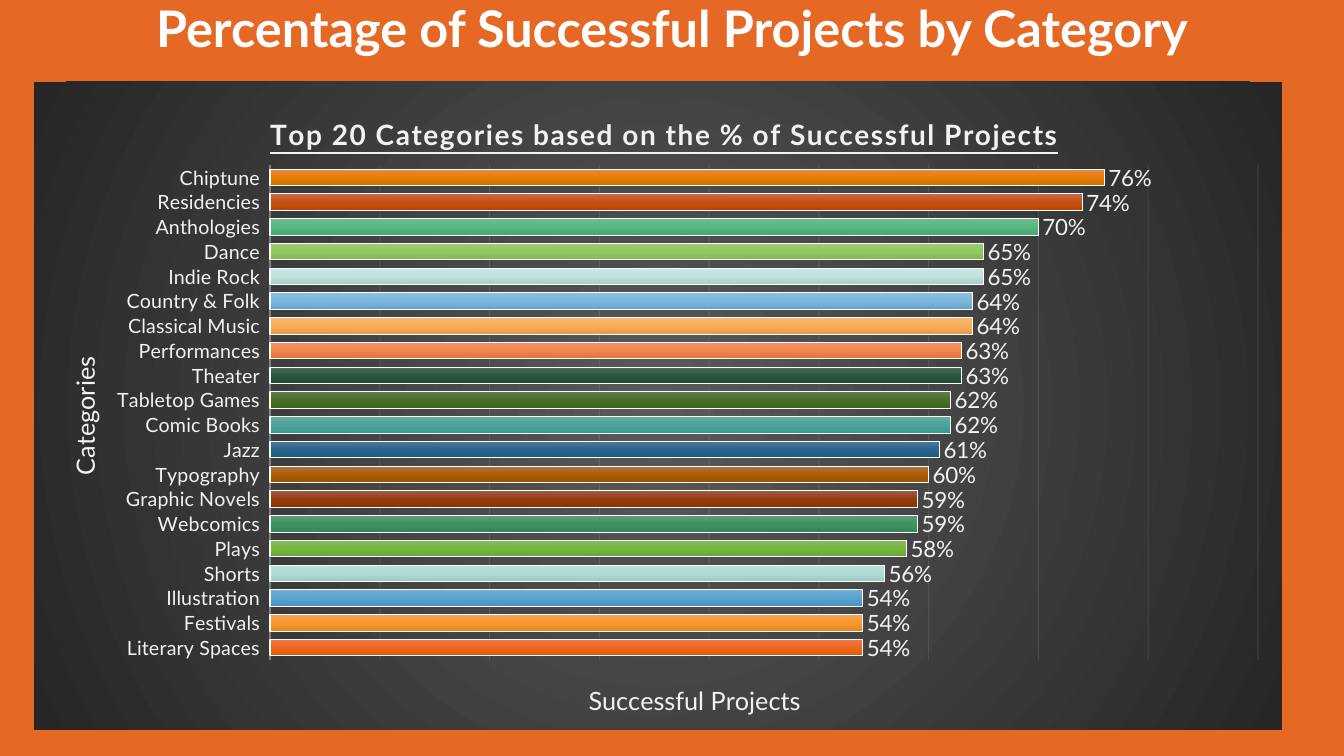
from typing import NamedTuple

from pptx import Presentation
from pptx.chart.data import CategoryChartData
from pptx.dml.color import RGBColor
from pptx.enum.chart import XL_CHART_TYPE as Kind, XL_LABEL_POSITION as Spot
from pptx.enum.chart import XL_TICK_LABEL_POSITION as Tick, XL_TICK_MARK as Mark
from pptx.enum.text import MSO_ANCHOR as Anchor, PP_ALIGN as Align
from pptx.oxml import parse_xml
from pptx.oxml.ns import nsdecls, qn
from pptx.util import Emu, Pt

FONT = "Lato"
WHITE, PALE, ORANGE = "FFFFFF", "F2F2F2", "E56925"


class Box(NamedTuple):
    left: int
    top: int
    width: int
    height: int


class Bar(NamedTuple):
    name: str
    share: int
    light: str
    mid: str
    dark: str


PAGE = Box(0, 0, 1344, 756)
HEAD = Box(84, -2, 1176, 67)
PANEL = Box(34, 82, 1248, 648)
PLOT = Box(270, 165, 988, 495)

# Bottom bar first
BARS = [
    Bar("Literary Spaces", 54, "EA7C51", "EF661B", "DF580E"),
    Bar("Festivals", 54, "F5A459", "FA9A2D", "E58921"),
    Bar("Illustration", 54, "73ADD2", "57A4D2", "4794C1"),
    Bar("Shorts", 56, "BDDFDC", "B1DCD8", "9BC6C2"),
    Bar("Plays", 58, "86BC60", "76B63F", "68A733"),
    Bar("Webcomics", 59, "5F9C76", "3F9362", "358657"),
    Bar("Graphic Novels", 59, "9D5C4C", "953C0B", "8A3304"),
    Bar("Typography", 60, "B2724B", "AD5D04", "9D5300"),
    Bar("Jazz", 61, "537996", "26668C", "1E5C81"),
    Bar("Comic Books", 62, "66ACA4", "4AA49B", "3E968D"),
    Bar("Tabletop Games", 62, "627D52", "476D26", "3E641E"),
    Bar("Theater", 63, "526D5B", "26583B", "205034"),
    Bar("Performances", 63, "EE956A", "F28549", "E07338"),
    Bar("Classical Music", 64, "F7B775", "FBAE57", "E59B47"),
    Bar("Country & Folk", 64, "8DBEDC", "79B7DB", "66A4C8"),
    Bar("Indie Rock", 65, "CBE6E3", "C1E3DF", "A9CCC8"),
    Bar("Dance", 65, "9DCB79", "91C961", "80B851"),
    Bar("Anthologies", 70, "71BB8F", "57B77F", "49A770"),
    Bar("Residencies", 74, "C9694D", "C6500E", "B84505"),
    Bar("Chiptune", 76, "E68B4C", "E77D05", "D26F00"),
]


def px(count: int) -> Emu:
    return Emu(round(count * 914400 / 100.8))


def area(box: Box) -> list[Emu]:
    return [px(side) for side in box]


def rgb(code: str) -> RGBColor:
    return RGBColor.from_string(code)


def style(font, size: float, color: str = PALE, bold: bool = False,
          under: bool = False) -> None:
    font.name, font.size = FONT, Pt(size)
    font.bold, font.underline = bold, under
    font.color.rgb = rgb(color)


def write(frame, text: str, *, track: int = 0, turn: int = 0, **look) -> None:
    """Set one centred paragraph; track is letter spacing, turn is degrees."""
    para = frame.paragraphs[0]
    para.alignment = Align.CENTER
    run = para.add_run()
    run.text = text
    style(run.font, **look)
    if track:
        run._r.get_or_add_rPr().set("spc", str(track))
    if turn:
        body = frame._txBody.find(qn("a:bodyPr"))
        body.set("rot", str(turn * 60000))
        body.set("vert", "horz")


def blend(colors: list[str], shade: str):
    """Make a gradient with evenly spaced stops."""
    step = 100000 // (len(colors) - 1)
    stops = "".join(f'<a:gs pos="{i * step}"><a:srgbClr val="{code}"/></a:gs>'
                    for i, code in enumerate(colors))
    return parse_xml(f'<a:gradFill {nsdecls("a")} rotWithShape="1">'
                     f"<a:gsLst>{stops}</a:gsLst>{shade}</a:gradFill>")


def rule(line, width: float, color: str, alpha: int = 100) -> None:
    line.width = Pt(width)
    line.color.rgb = rgb(color)
    if alpha < 100:
        tone = line._get_or_add_ln().find(".//" + qn("a:srgbClr"))
        tone.append(parse_xml(f'<a:alpha {nsdecls("a")} val="{alpha * 1000}"/>'))


def place(node, box: Box, sized: bool = False) -> None:
    """Fix a chart part at a page position; sized also fixes the inner plot."""
    x, y = (box.left - PANEL.left) / PANEL.width, (box.top - PANEL.top) / PANEL.height
    parts = [("xMode", "edge"), ("yMode", "edge"), ("x", f"{x:.4f}"), ("y", f"{y:.4f}")]
    if sized:
        parts.insert(0, ("layoutTarget", "inner"))
        parts += [("w", f"{box.width / PANEL.width:.4f}"),
                  ("h", f"{box.height / PANEL.height:.4f}")]
    inner = "".join(f'<c:{tag} val="{val}"/>' for tag, val in parts)
    for old in node.findall(qn("c:layout")):
        node.remove(old)
    text = node.find(qn("c:tx"))
    node.insert(0 if text is None else 1, parse_xml(
        f'<c:layout {nsdecls("c")}><c:manualLayout>{inner}</c:manualLayout></c:layout>'))


def label(title, text: str, left: int, top: int, **look) -> None:
    write(title.text_frame, text, **look)
    place(title._element, Box(left, top, 0, 0))


def paint(series) -> None:
    shade = '<a:lin ang="5400000" scaled="0"/>'
    for i, bar in enumerate(BARS):
        form = series.points[i].format
        form.fill.solid()
        rule(form.line, 0.75, WHITE)
    for bar, props in zip(BARS, series._element.findall(f"{qn('c:dPt')}/{qn('c:spPr')}")):
        fill = blend([bar.light, bar.mid, bar.dark], shade)
        props.replace(props.find(qn("a:solidFill")), fill)


def back(chart) -> None:
    props = parse_xml(f'<c:spPr {nsdecls("c", "a")}><a:ln><a:noFill/></a:ln></c:spPr>')
    props.insert(0, blend(["595959", "262626"], '<a:path path="circle">'
                 '<a:fillToRect l="50000" t="50000" r="50000" b="50000"/></a:path>'))
    chart._chartSpace.find(qn("c:chart")).addnext(props)


def graph(slide) -> None:
    data = CategoryChartData(number_format="0%")
    data.categories = [bar.name for bar in BARS]
    data.add_series("Series 1", [bar.share / 100 for bar in BARS])
    chart = slide.shapes.add_chart(Kind.BAR_CLUSTERED, *area(PANEL), data).chart
    style(chart.font, 10, WHITE)
    chart.has_legend = False
    back(chart)
    chart.has_title = True
    label(chart.chart_title, "Top 20 Categories based on the % of Successful Projects",
          265, 109, size=20, bold=True, under=True, track=100)
    place(chart._chartSpace.find(".//" + qn("c:plotArea")), PLOT, sized=True)

    cat, val = chart.category_axis, chart.value_axis
    cat.major_tick_mark = cat.minor_tick_mark = Mark.NONE
    cat.tick_label_position = Tick.LOW
    cat.has_major_gridlines = False
    style(cat.tick_labels.font, 14)
    rule(cat.format.line, 1, PALE, 54)
    label(cat.axis_title, "Categories", 62, 352, size=18, turn=-90)

    val.visible = False
    val.minimum_scale, val.maximum_scale, val.major_unit = 0, 0.9, 0.1
    val.tick_labels.number_format = "0%"
    val.has_major_gridlines = True
    rule(val.major_gridlines.format.line, 0.75, PALE, 10)
    label(val.axis_title, "Successful Projects", 584, 678, size=18)

    plot = chart.plots[0]
    plot.gap_width, plot.vary_by_categories = 50, False
    plot.has_data_labels = True
    tags = plot.data_labels
    tags.show_value, tags.position = True, Spot.OUTSIDE_END
    tags.number_format, tags.number_format_is_linked = "0%", False
    style(tags.font, 16)
    paint(plot.series[0])


def main() -> None:
    deck = Presentation()
    deck.slide_width, deck.slide_height = px(PAGE.width), px(PAGE.height)
    slide = deck.slides.add_slide(deck.slide_layouts[6])
    slide.background.fill.solid()
    slide.background.fill.fore_color.rgb = rgb(ORANGE)
    frame = slide.shapes.add_textbox(*area(HEAD)).text_frame
    frame.word_wrap, frame.vertical_anchor = True, Anchor.MIDDLE
    write(frame, "Percentage of Successful Projects by Category",
          size=36, color=WHITE, bold=True)
    frame.paragraphs[0].line_spacing = 0.9
    graph(slide)
    deck.save("out.pptx")


if __name__ == "__main__":
    main()
